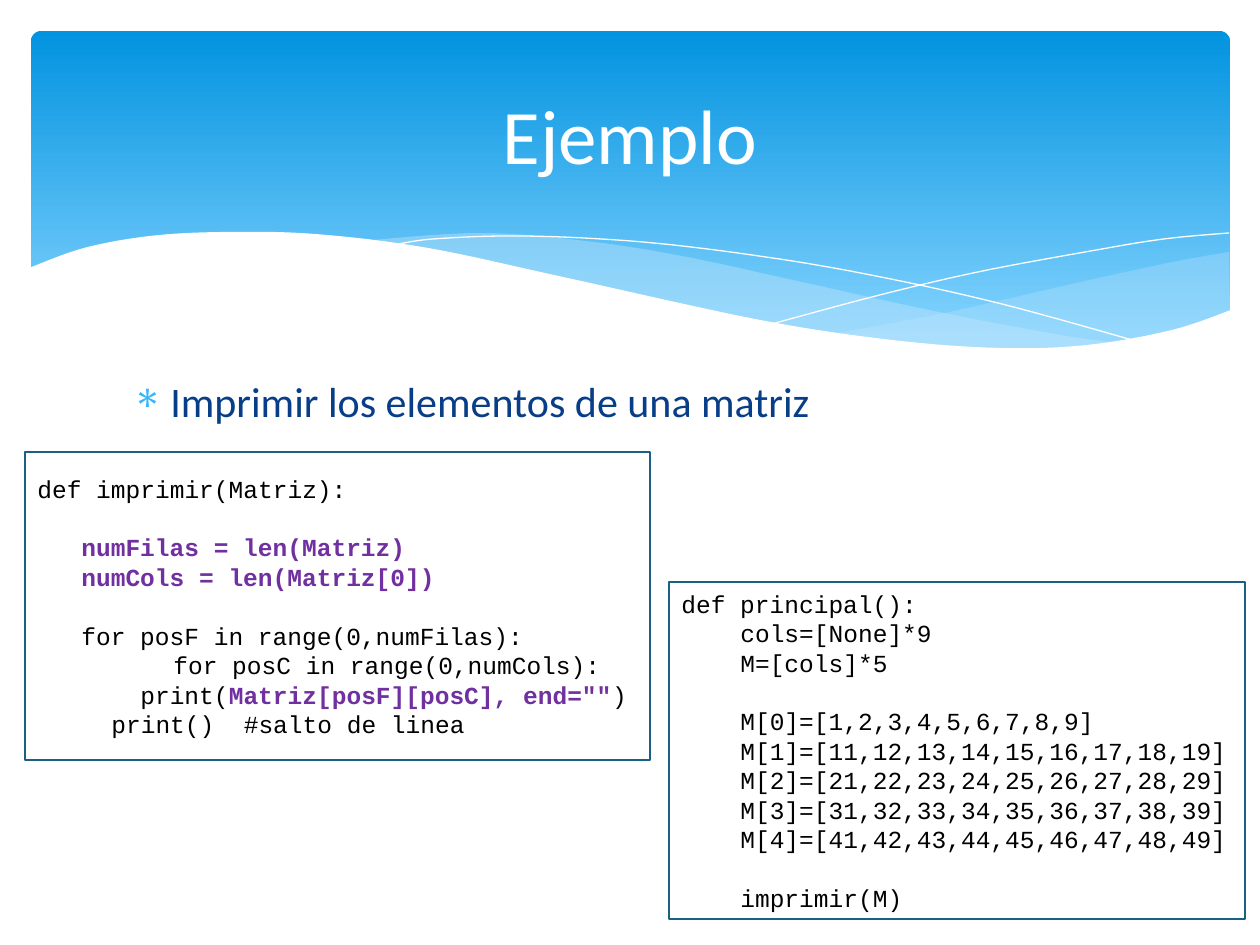
from lxml import etree
from pptx import Presentation
from pptx.dml.color import RGBColor
from pptx.enum.shapes import MSO_SHAPE
from pptx.enum.text import MSO_ANCHOR, PP_ALIGN
from pptx.oxml.ns import qn
from pptx.util import Pt

SCALE = 914400 / 126
RECTANGLE = MSO_SHAPE.RECTANGLE
ROUNDED = MSO_SHAPE.ROUNDED_RECTANGLE
MIDDLE = MSO_ANCHOR.MIDDLE
TOP = MSO_ANCHOR.TOP
CENTER = PP_ALIGN.CENTER
JUSTIFY = PP_ALIGN.JUSTIFY

WHITE = "FFFFFF"
BLACK = "000000"
PURPLE = "7030A0"
NAVY = "073E87"
PALE = "C6E7FC"
SKY = "31B6FD"
BORDER = "1A5F84"


def px(length):
    return round(length * SCALE)


def color(value):
    return RGBColor.from_string(value)


def smooth(knots, steps=8):
    points = [knots[0]]
    padded = [knots[0], *knots, knots[-1]]
    for a, b, c, d in zip(padded, padded[1:], padded[2:], padded[3:]):
        for step in range(1, steps + 1):
            t = step / steps
            points.append(tuple(
                (2 * q + (r - p) * t + (2 * p - 5 * q + 4 * r - s) * t ** 2
                 + (3 * q - p - 3 * r + s) * t ** 3) / 2
                for p, q, r, s in zip(a, b, c, d)))
    return points


class SlideBuilder:
    body_font = "Calibri"
    code_font = "Courier New"
    code_size = 14
    code_leading = 16.8

    def __init__(self, deck):
        self.slide = deck.slides.add_slide(deck.slide_layouts[5])
        self.shapes = self.slide.shapes

    def style(self, span, font, size, value, bold=False):
        span.font.name = font
        span.font.size = Pt(size)
        span.font.bold = bold
        span.font.color.rgb = color(value)

    def banner(self, left, top, width, height, stops):
        box = self.shapes.add_shape(ROUNDED, px(left), px(top), px(width), px(height))
        box.adjustments[0] = 0.03
        box.shadow.inherit = False
        box.line.fill.background()
        box.fill.gradient()
        box.fill.gradient_angle = 270
        for stop, (position, value) in zip(box.fill.gradient_stops, stops):
            stop.position = position
            stop.color.rgb = color(value)

    def outline(self, points, close):
        first, *rest = [(px(x), px(y)) for x, y in points]
        builder = self.shapes.build_freeform(*first, scale=1.0)
        builder.add_line_segments(rest, close=close)
        shape = builder.convert_to_shape()
        shape.shadow.inherit = False
        return shape

    def wave(self, points, value, opacity=100):
        shape = self.outline(points, True)
        shape.line.fill.background()
        shape.fill.solid()
        shape.fill.fore_color.rgb = color(value)
        if opacity < 100:
            tint = shape.fill._xPr.find(qn("a:solidFill"))[0]
            etree.SubElement(tint, qn("a:alpha"), val=str(opacity * 1000))

    def strand(self, knots):
        shape = self.outline(smooth(knots), False)
        shape.fill.background()
        shape.line.color.rgb = color(WHITE)
        shape.line.width = Pt(0)

    def title(self, text, left, top, width, height):
        box = self.shapes.title
        box.left, box.top, box.width, box.height = map(px, (left, top, width, height))
        box.text_frame.text = text
        box.text_frame.vertical_anchor = MIDDLE
        para = box.text_frame.paragraphs[0]
        para.alignment = CENTER
        self.style(para.runs[0], self.body_font, 44, WHITE)
        self.shapes._spTree.append(box._element)

    def bullet(self, text, left, top, width, height):
        box = self.shapes.add_textbox(px(left), px(top), px(width), px(height))
        frame = box.text_frame
        frame.word_wrap = True
        frame.vertical_anchor = TOP
        frame.text = text
        para = frame.paragraphs[0]
        self.style(para.runs[0], self.body_font, 24, NAVY)
        props = para._p.get_or_add_pPr()
        props.set("marL", str(px(38)))
        props.set("indent", str(-px(38)))
        tint = etree.SubElement(props, qn("a:buClr"))
        etree.SubElement(tint, qn("a:srgbClr"), val=SKY)
        etree.SubElement(props, qn("a:buChar"), char="∗")

    def code(self, lines, left, top, width, height):
        box = self.shapes.add_shape(RECTANGLE, px(left), px(top), px(width), px(height))
        box.shadow.inherit = False
        box.fill.background()
        box.line.color.rgb = color(BORDER)
        box.line.width = Pt(0.75)
        frame = box.text_frame
        frame.word_wrap = True
        frame.vertical_anchor = MIDDLE
        for index, (indent, gap, spans) in enumerate(lines):
            para = frame.add_paragraph() if index else frame.paragraphs[0]
            para.alignment = JUSTIFY
            para.line_spacing = Pt(self.code_leading)
            para.space_before = Pt(gap * self.code_leading)
            para._p.get_or_add_pPr().set("marL", str(px(indent)))
            for text, strong in spans:
                span = para.add_run()
                span.text = text
                self.style(span, self.code_font, self.code_size,
                           PURPLE if strong else BLACK, strong)


def plain(indent, text, gap=0):
    return indent, gap, [(text, False)]


def strong(indent, text, gap=0):
    return indent, gap, [(text, True)]


RIGHT_TOP = [(1229, 252), (1178, 261), (1085, 281), (949, 312), (833, 334)]
RIGHT_BOTTOM = [(833, 334), (906, 343), (1026, 350), (1110, 344), (1178, 330), (1230, 311)]
MIDDLE_TOP = [(1125, 344), (1055, 334), (934, 311), (793, 280), (682, 256),
              (586, 241), (479, 233), (360, 241)]
MIDDLE_BOTTOM = [(360, 241), (456, 256), (566, 280), (713, 312), (838, 335),
                 (942, 348), (1031, 350), (1125, 344)]
WHITE_TOP = [(1231, 310), (1172, 330), (1087, 345), (999, 348), (892, 340),
             (760, 320), (563, 277), (428, 248), (315, 234), (223, 232),
             (150, 236), (84, 248), (29, 268)]
FALLING = [(389, 246), (433, 239), (524, 236), (643, 242), (766, 257),
           (876, 276), (1002, 304), (1143, 343)]
RISING = [(772, 324), (876, 296), (978, 272), (1091, 251), (1164, 239), (1229, 233)]

PRINT_CODE = [
    plain(0, "def imprimir(Matriz):"),
    strong(44, "numFilas = len(Matriz)", 1),
    strong(44, "numCols = len(Matriz[0])"),
    plain(44, "for posF in range(0,numFilas):", 1),
    plain(136, "for posC in range(0,numCols):"),
    (103, 0, [("print(", False), ('Matriz[posF][posC], end=""', True), (")", False)]),
    plain(74, "print()  #salto de linea"),
]


def matrix_row(row):
    values = ",".join(str(10 * row + number) for number in range(1, 10))
    return plain(59, f"M[{row}]=[{values}]", 0 if row else 1)


MAIN_CODE = [
    plain(0, "def principal():"),
    plain(59, "cols=[None]*9"),
    plain(59, "M=[cols]*5"),
    *map(matrix_row, range(5)),
    plain(59, "imprimir(M)", 1),
]


def main():
    deck = Presentation()
    deck.slide_width, deck.slide_height = px(1260), px(945)
    page = SlideBuilder(deck)
    page.banner(31, 31, 1199, 340, [(0, "0293E0"), (0.9, "83D3FE")])
    page.wave(smooth(RIGHT_TOP) + smooth(RIGHT_BOTTOM), PALE, 29)
    page.wave(smooth(MIDDLE_TOP) + smooth(MIDDLE_BOTTOM), PALE, 40)
    page.strand(FALLING)
    page.strand(RISING)
    page.wave(smooth(WHITE_TOP) + [(29, 415), (1231, 415)], WHITE)
    page.bullet("Imprimir los elementos de una matriz", 120, 369, 1021, 475)
    page.title("Ejemplo", 63, 47, 1134, 173)
    page.code(PRINT_CODE, 25, 452, 625, 308)
    page.code(MAIN_CODE, 669, 582, 576, 337)
    deck.save("out.pptx")


if __name__ == "__main__":
    main()
